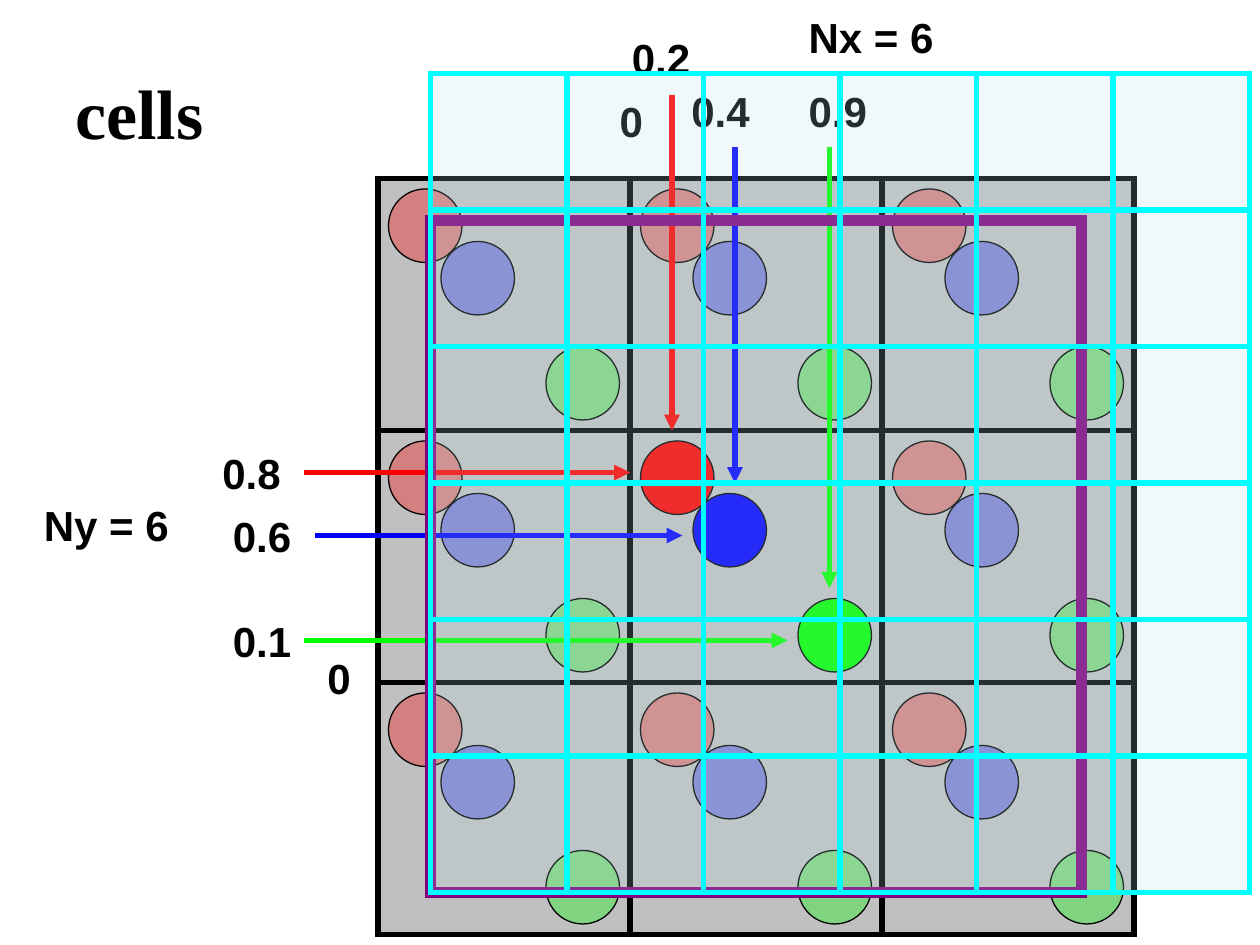
from dataclasses import dataclass
from itertools import product

from lxml import etree
from pptx import Presentation
from pptx.dml.color import RGBColor
from pptx.enum.shapes import MSO_CONNECTOR, MSO_SHAPE
from pptx.enum.text import MSO_AUTO_SIZE
from pptx.oxml.ns import qn
from pptx.slide import Slide
from pptx.util import Pt

RECTANGLE = MSO_SHAPE.RECTANGLE
OVAL = MSO_SHAPE.OVAL
STRAIGHT = MSO_CONNECTOR.STRAIGHT
FIT_SHAPE = MSO_AUTO_SIZE.SHAPE_TO_FIT_TEXT

RED, BLUE, GREEN = "FF0000", "0000FF", "00FF00"
BLACK, GREY, PURPLE, CYAN, PALE = "000000", "C0C0C0", "800080", "00FFFF", "BBE0E3"

CELL, CELL_LEFT, CELL_TOP = 144, 216, 102
MESH, MESH_LEFT, MESH_TOP = 78, 246, 42
CELL_ROWS = (1, 0, 2)
PARTICLES = ((RED, 6, 6), (BLUE, 36, 36), (GREEN, 96, 96))
POINTERS = (
    (RED, (384, 54), (384, 246), "0.2", 354, 15),
    (RED, (174, 270), (360, 270), "0.8", 120, 252),
    (BLUE, (420, 84), (420, 276), "0.4", 388, 45.5),
    (BLUE, (180, 306), (390, 306), "0.6", 126, 288),
    (GREEN, (474, 84), (474, 336), "0.9", 455, 45.5),
    (GREEN, (174, 366), (450, 366), "0.1", 126, 348),
)


def color(value):
    return RGBColor.from_string(value)


@dataclass
class Canvas:
    """Draws shapes, arrows and labels on one slide in a shared style."""

    page: Slide
    font: str = "Arial"
    size: float = 24
    stroke: float = 3

    def shape(self, kind, left, top, width, height, line, weight, fill=None, opacity=100):
        shape = self.page.shapes.add_shape(kind, Pt(left), Pt(top), Pt(width), Pt(height))
        shape.shadow.inherit = False
        shape.line.color.rgb = color(line)
        shape.line.width = Pt(weight)
        etree.SubElement(shape.line._get_or_add_ln(), qn("a:miter"), lim="800000")
        if fill is None:
            shape.fill.background()
            return
        shape.fill.solid()
        shape.fill.fore_color.rgb = color(fill)
        if opacity < 100:
            tint = shape.fill._xPr.find(qn("a:solidFill"))[0]
            etree.SubElement(tint, qn("a:alpha"), val=str(opacity * 1000))

    def square(self, left, top, side, line, fill, opacity=100):
        self.shape(RECTANGLE, left, top, side, side, line, self.stroke, fill, opacity)

    def particle(self, left, top, fill, opacity):
        self.shape(OVAL, left, top, 42, 42, BLACK, 0.75, fill, opacity)

    def arrow(self, start, end, line):
        arrow = self.page.shapes.add_connector(STRAIGHT, *map(Pt, start + end))
        arrow.line.color.rgb = color(line)
        arrow.line.width = Pt(self.stroke)
        etree.SubElement(arrow.line._get_or_add_ln(), qn("a:tailEnd"), type="triangle")
        etree.SubElement(arrow._element.spPr, qn("a:effectLst"))

    def label(self, text, left, top, width, height=36, font=None, size=None):
        box = self.page.shapes.add_textbox(Pt(left), Pt(top), Pt(width), Pt(height))
        box.text_frame.word_wrap = False
        box.text_frame.auto_size = FIT_SHAPE
        para = box.text_frame.paragraphs[0]
        para.text = text
        para.font.name = font or self.font
        para.font.size = Pt(size or self.size)
        para.font.bold = True
        para.font.color.rgb = color(BLACK)


def main():
    deck = Presentation()
    deck.slide_width, deck.slide_height = Pt(720), Pt(540)
    canvas = Canvas(deck.slides.add_slide(deck.slide_layouts[6]))

    cells = [
        (row, column, CELL_LEFT + column * CELL, CELL_TOP + row * CELL)
        for row, column in product(CELL_ROWS, range(3))
    ]
    for row, column, left, top in cells:
        canvas.square(left, top, CELL, BLACK, GREY)
    for row, column, left, top in cells:
        opacity = 100 if row == column == 1 else 33
        for fill, across, down in PARTICLES:
            canvas.particle(left + across, top + down, fill, opacity)

    canvas.label("cells", 36, 36, 90, 55.5, "Times New Roman", 40)
    for line, start, end, text, left, top in POINTERS:
        canvas.arrow(start, end, line)
        canvas.label(text, left, top, 48)

    canvas.shape(RECTANGLE, 246, 126, 372, 384, PURPLE, 6)
    canvas.label("0", 347, 51, 28)
    canvas.label("0", 180, 369.5, 28)

    for row, column in product(reversed(range(6)), range(6)):
        canvas.square(MESH_LEFT + column * MESH, MESH_TOP + row * MESH, MESH, CYAN, PALE, 20)
    canvas.label("Nx = 6", 455, 3, 88)
    canvas.label("Ny = 6", 18, 282, 88)

    deck.save("out.pptx")


if __name__ == "__main__":
    main()
